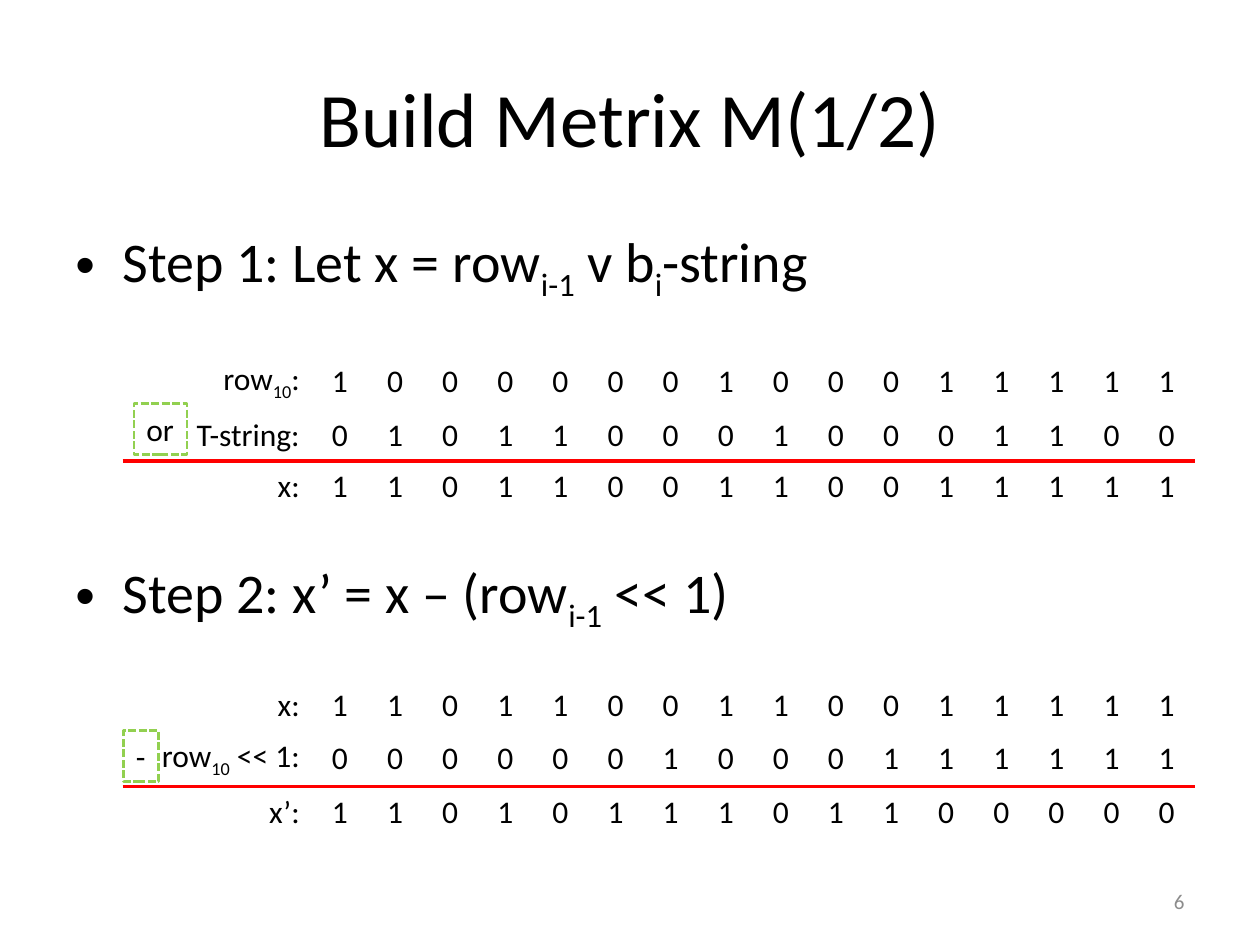
from lxml import etree
from pptx import Presentation
from pptx.dml import color
from pptx.enum import dml, shapes, text
from pptx.oxml import ns
from pptx.util import Pt

LEFT, MID, RIGHT = text.PP_ALIGN.LEFT, text.PP_ALIGN.CENTER, text.PP_ALIGN.RIGHT
CENTER = text.MSO_ANCHOR.MIDDLE
BLACK, GREY, RED, GREEN = "000000", "8C8C8C", "FF0000", "92D050"
EDGE = 70.5

SUMS = [
    (202.5, [
        ("row|10|:", "1000000100011111"),
        ("T-string:", "0101100010001100"),
        ("x:", "1101100110011111"),
    ]),
    (388.5, [
        ("x:", "1101100110011111"),
        ("row|10| << 1:", "0000001000111111"),
        ("x’:", "1101011101100000"),
    ]),
]


def rgb(code):
    return color.RGBColor.from_string(code)


def style(item, **vals):
    for key, val in vals.items():
        setattr(item, key, val)


def node(root, tag, **vals):
    return etree.SubElement(root, ns.qn(tag), vals)


def write(para, words, size, align=LEFT, code=BLACK):
    para.alignment = align
    for i, part in enumerate(words.split("|")):
        run = para.add_run()
        run.text = part
        style(run.font, name="Calibri", size=Pt(size))
        run.font.color.rgb = rgb(code)
        if i % 2:
            run._r.get_or_add_rPr().set("baseline", "-25000")


def head(slide, words):
    title = slide.shapes.title
    style(title, left=Pt(36), top=Pt(21.6), width=Pt(648), height=Pt(90))
    title.text_frame.vertical_anchor = CENTER
    write(title.text_frame.paragraphs[0], words, 44, MID)


def box(slide, *area):
    frame = slide.shapes.add_textbox(*map(Pt, area)).text_frame
    frame.word_wrap = True
    return frame


def steps(slide, lines, gap):
    frame = box(slide, 36, 126, 648, 356.4)
    for i, line in enumerate(lines):
        para = frame.add_paragraph() if i else frame.paragraphs[0]
        para.space_before = Pt(gap if i else 0)
        props = para._p.get_or_add_pPr()
        style_ind = {"marL": Pt(27), "indent": Pt(-27)}
        for key, val in style_ind.items():
            props.set(key, str(int(val)))
        node(props, "a:buFont", typeface="Arial")
        node(props, "a:buChar", char="•")
        write(para, line, 32)


def rule(cell, side):
    line = node(cell._tc.get_or_add_tcPr(), side, w=str(int(Pt(2.25))))
    node(node(line, "a:solidFill"), "a:srgbClr", val=RED)


def grid(slide, top, rows):
    count = len(rows[0][1]) + 1
    area = map(Pt, (EDGE, top, 612, 87.84))
    table = slide.shapes.add_table(len(rows), count, *area).table
    style(table, first_row=False, horz_banding=False)
    for i, col in enumerate(table.columns):
        col.width = Pt(31.5 if i else 108)
    for r, (label, bits) in enumerate(rows):
        for c, words in enumerate([label, *bits]):
            cell = table.cell(r, c)
            cell.vertical_anchor = CENTER
            if r:
                rule(cell, "a:lnB" if r == 1 else "a:lnT")
            cell.fill.background()
            write(cell.text_frame.paragraphs[0], words, 18, MID if c else RIGHT)


def sign(slide, words, left, top, width):
    area = map(Pt, (left, top, width, 29.1))
    shape = slide.shapes.add_shape(shapes.MSO_SHAPE.RECTANGLE, *area)
    shape.shadow.inherit = False
    shape.fill.background()
    shape.line.color.rgb = rgb(GREEN)
    style(shape.line, width=Pt(1.5), dash_style=dml.MSO_LINE.SQUARE_DOT)
    frame = shape.text_frame
    style(frame, word_wrap=False, vertical_anchor=text.MSO_ANCHOR.TOP,
          auto_size=text.MSO_AUTO_SIZE.SHAPE_TO_FIT_TEXT)
    write(frame.paragraphs[0], words, 18)


def count(slide, words):
    frame = box(slide, 516, 500.5, 168, 28.75)
    frame.vertical_anchor = CENTER
    write(frame.paragraphs[0], words, 12, RIGHT, GREY)


def main():
    deck = Presentation()
    style(deck, slide_width=Pt(720), slide_height=Pt(540))
    slide = deck.slides.add_slide(deck.slide_layouts[5])
    head(slide, "Build Metrix M(1/2)")
    lines = ["Step 1: Let x = row|i-1| v b|i|-string", "Step 2: x’ = x – (row|i-1| << 1)"]
    steps(slide, lines, 145.5)
    count(slide, "6")
    for top, rows in SUMS:
        grid(slide, top, rows)
    sign(slide, "or", 76.5, 230.5, 30.3)
    sign(slide, "-", EDGE, 417.5, 20.2)
    deck.save("out.pptx")


if __name__ == "__main__":
    main()
